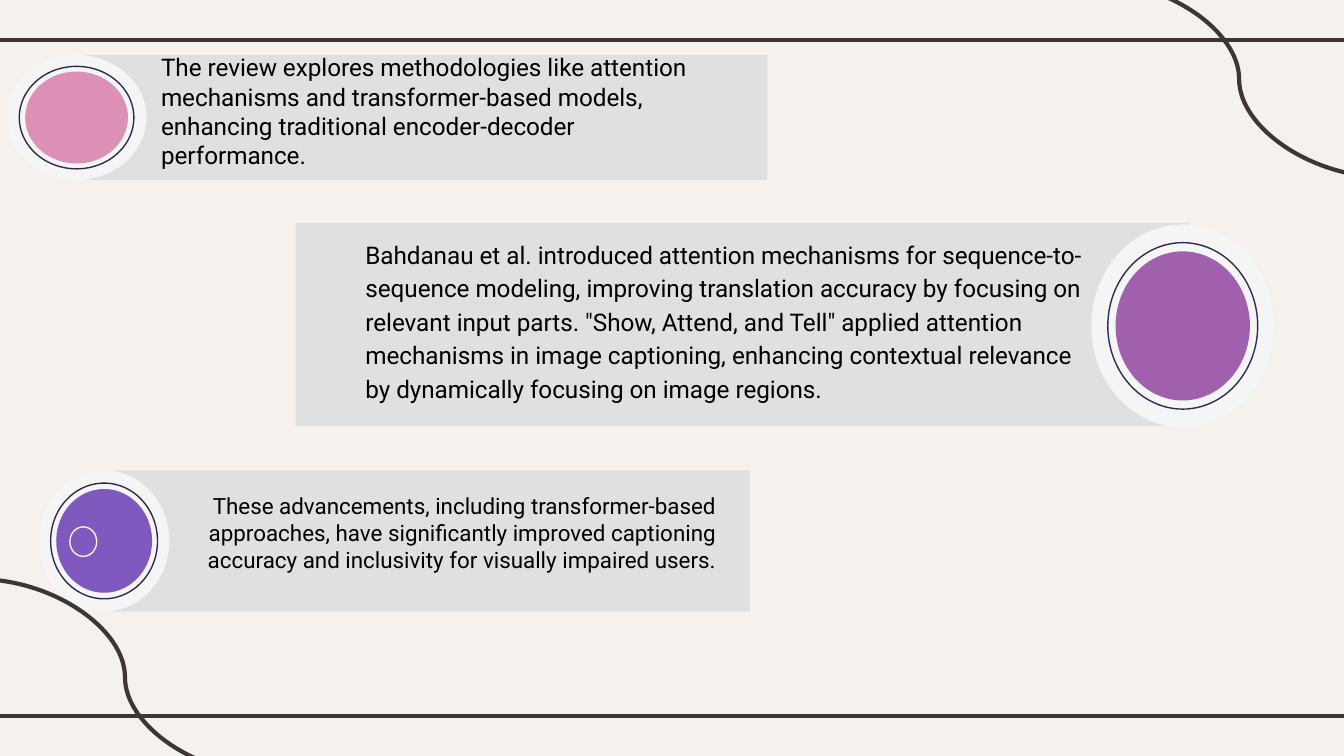
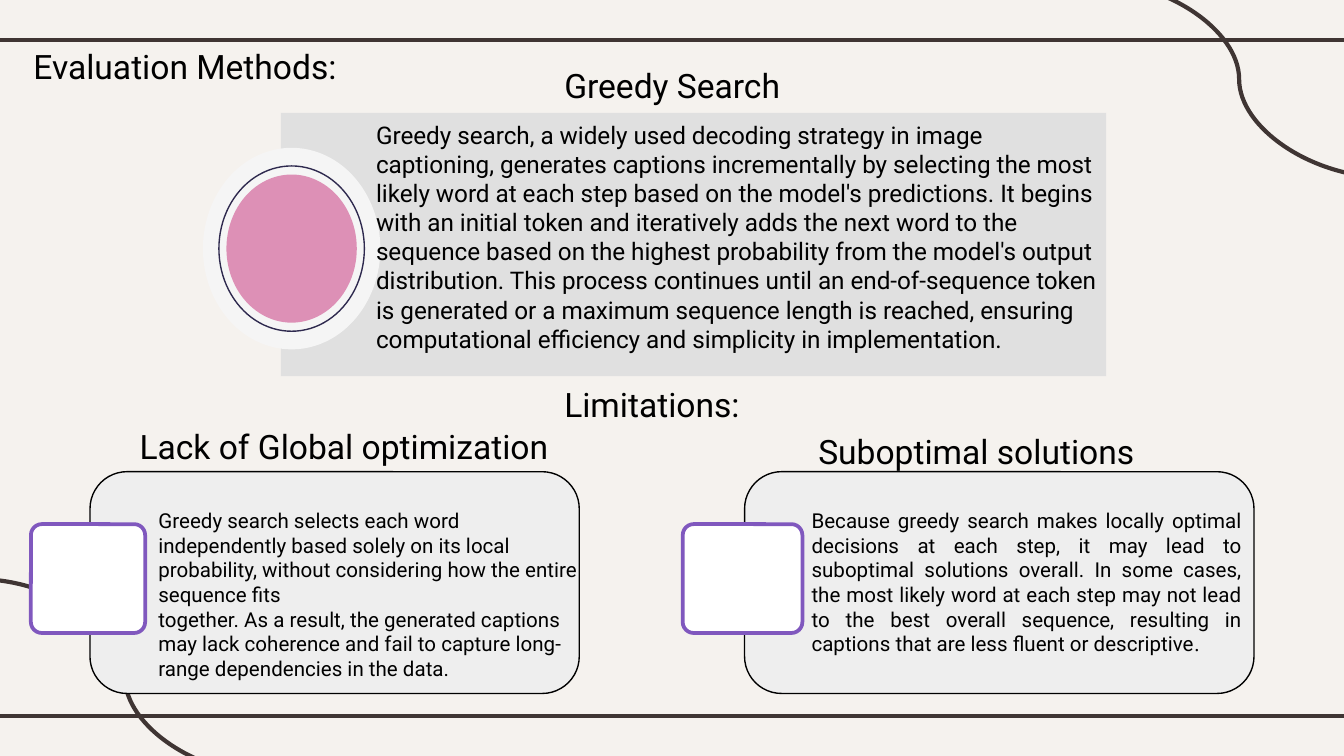
from dataclasses import dataclass
from pptx import Presentation
from pptx import util as u
from pptx.dml.color import RGBColor
from pptx.enum import shapes, text
from pptx.oxml.ns import qn

I = u.Inches
LEFT, RIGHT, JUSTIFY = text.PP_ALIGN.LEFT, text.PP_ALIGN.RIGHT, text.PP_ALIGN.JUSTIFY


@dataclass(frozen=True)
class Theme:
    paper: str = "F5F2EE"
    line: str = "3F3533"
    band: str = "E0E0E0"
    halo: str = "F5F5F5"
    ring: str = "2E294E"
    card: str = "EEEEEE"
    white: str = "FFFFFF"
    ink: str = "000000"
    pink: str = "DD90B6"
    plum: str = "A060AD"
    violet: str = "8058BE"
    font: str = "Roboto"
    serif: str = "Times New Roman"
    heading: int = 18
    body: int = 13
    note: int = 12
    small: int = 11
    thick: float = 2.25
    frame: float = 2
    thin: float = 0.75


T = Theme()

RULES = [0.3, 5.33]
CURVES = [(8.13, -0.14), (-0.16, 4.31)]
CURVE_SIZE = (2.18, 1.46)
RING_SCALE, CORE_SCALE = 0.82, 0.735

FINDINGS = [
    dict(band=(0.63, 0.41, 5.08, 0.93), disc=(0.05, 0.41, 1.04, 0.93), color=T.pink,
         box=(1.1, 0.4, 4.38, 0.85), size=T.body,
         paras=["The review explores methodologies like attention mechanisms and "
                "transformer-based models, enhancing traditional encoder-decoder performance."]),
    dict(band=(2.2, 1.66, 6.65, 1.51), disc=(8.12, 1.67, 1.36, 1.51), color=T.plum,
         box=(2.62, 1.81, 5.62, 1.13), size=T.body, spacing=1.15,
         paras=["Bahdanau et al. introduced attention mechanisms for sequence-to-sequence "
                "modeling, improving translation accuracy by focusing on relevant input parts. "
                "\"Show, Attend, and Tell\" applied attention mechanisms in image captioning, "
                "enhancing contextual relevance by dynamically focusing on image regions."]),
    dict(band=(0.84, 3.5, 4.74, 1.05), disc=(0.29, 3.5, 0.97, 1.05), color=T.violet,
         box=(1.36, 3.59, 4.07, 0.74), size=T.note, align=RIGHT,
         paras=["These advancements, including transformer-based approaches, have significantly "
                "improved captioning accuracy and inclusivity for visually impaired users."]),
]
BADGE_DOT = (0.52, 3.92, 0.2, 0.22)

GREEDY = dict(
    band=(2.09, 0.84, 6.14, 1.96), disc=(1.51, 1.1, 1.32, 1.5), color=T.pink,
    box=(2.7, 0.91, 5.56, 1.7), size=T.body,
    paras=["Greedy search, a widely used decoding strategy in image captioning, generates "
           "captions incrementally by selecting the most likely word at each step based on the "
           "model's predictions. It begins with an initial token and iteratively adds the next "
           "word to the sequence based on the highest probability from the model's output "
           "distribution. This process continues until an end-of-sequence token is generated or "
           "a maximum sequence length is reached, ensuring computational efficiency and "
           "simplicity in implementation."])

HEADINGS = [
    ("Evaluation Methods:", 0.15, 0.24),
    ("Greedy Search", 4.1, 0.38),
    ("Limitations:", 4.1, 2.76),
    ("Lack of Global optimization", 0.94, 3.07),
    ("Suboptimal solutions", 5.99, 3.11),
]
HEADING_SIZE = (3.28, 0.5)

LIMITATIONS = [
    dict(card=(0.67, 3.51, 3.64, 1.65), frame=(0.23, 3.9, 0.85, 0.81),
         box=(1.08, 3.73, 3.4, 1.21), align=LEFT, end="",
         paras=["Greedy search selects each word independently based solely on its local "
                "probability, without considering how the entire sequence fits",
                "together. As a result, the generated captions may lack coherence and fail to "
                "capture long-range dependencies in the data."]),
    dict(card=(5.54, 3.51, 3.79, 1.65), frame=(5.08, 3.9, 0.89, 0.81),
         box=(5.94, 3.73, 3.4, 1.73), align=JUSTIFY, end=".",
         paras=["Because greedy search makes locally optimal decisions at each step, it may lead "
                "to suboptimal solutions overall. In some cases, the most likely word at each "
                "step may not lead to the best overall sequence, resulting in captions that are "
                "less fluent or descriptive"]),
]


def rgb(color):
    return RGBColor.from_string(color)


def add_line(s, kind, x1, y1, x2, y2):
    c = s.shapes.add_connector(kind, I(x1), I(y1), I(x2), I(y2))
    c.line.color.rgb = rgb(T.line)
    c.line.width = u.Pt(T.thick)
    pr = c._element.spPr
    pr.append(pr.makeelement(qn("a:effectLst"), {}))


def add_shape(s, kind, box, fill=None, line=None, width=T.thin, corner=None):
    sp = s.shapes.add_shape(kind, *map(I, box))
    sp.shadow.inherit = False
    if corner is not None:
        sp.adjustments[0] = corner
    if fill:
        sp.fill.solid()
        sp.fill.fore_color.rgb = rgb(fill)
    else:
        sp.fill.background()
    if line:
        sp.line.color.rgb = rgb(line)
        sp.line.width = u.Pt(width)
    else:
        sp.line.fill.background()


def add_text(s, box, paras, size, align=LEFT, spacing=None, middle=False, inset=0.1, end=""):
    tf = s.shapes.add_textbox(*map(I, box)).text_frame
    tf.word_wrap = True
    tf.margin_left = tf.margin_right = I(0.1)
    tf.margin_top = tf.margin_bottom = I(inset)
    tf.vertical_anchor = text.MSO_ANCHOR.MIDDLE if middle else text.MSO_ANCHOR.TOP
    for i, content in enumerate(paras):
        p = tf.paragraphs[0] if i == 0 else tf.add_paragraph()
        p.add_run().text = content
        p.alignment = align
        if spacing:
            p.line_spacing = spacing
        p.font.name = T.font
        p.font.size = u.Pt(size)
        p.font.color.rgb = rgb(T.ink)
    if end:
        r = p.add_run()
        r.text = end
        r.font.name = T.serif


def scaled(box, k):
    x, y, w, h = box
    return x + w * (1 - k) / 2, y + h * (1 - k) / 2, w * k, h * k


def add_banner(s, item):
    oval = shapes.MSO_SHAPE.OVAL
    add_shape(s, shapes.MSO_SHAPE.RECTANGLE, item["band"], T.band)
    add_shape(s, oval, item["disc"], T.halo)
    add_shape(s, oval, scaled(item["disc"], RING_SCALE), line=T.ring)
    add_shape(s, oval, scaled(item["disc"], CORE_SCALE), item["color"])
    add_text(s, item["box"], item["paras"], item["size"], item.get("align", LEFT),
             item.get("spacing"), middle=True)


def add_limitation(s, item):
    rounded = shapes.MSO_SHAPE.ROUNDED_RECTANGLE
    add_shape(s, rounded, item["card"], T.card, T.ink, corner=0.167)
    add_shape(s, rounded, item["frame"], T.white, T.violet, T.frame, 0.1)
    add_text(s, item["box"], item["paras"], T.small, item["align"], inset=0.05, end=item["end"])


def new_slide(prs):
    s = prs.slides.add_slide(prs.slide_layouts[6])
    s.background.fill.solid()
    s.background.fill.fore_color.rgb = rgb(T.paper)
    for y in RULES:
        add_line(s, shapes.MSO_CONNECTOR.STRAIGHT, -0.08, y, 10.08, y)
    for x, y in CURVES:
        add_line(s, shapes.MSO_CONNECTOR.CURVE, x, y, x + CURVE_SIZE[0], y + CURVE_SIZE[1])
    return s


def findings_slide(prs):
    s = new_slide(prs)
    for item in FINDINGS:
        add_banner(s, item)
    add_shape(s, shapes.MSO_SHAPE.OVAL, BADGE_DOT, line=T.halo)


def evaluation_slide(prs):
    s = new_slide(prs)
    add_banner(s, GREEDY)
    for item in LIMITATIONS:
        add_limitation(s, item)
    for title, x, y in HEADINGS:
        add_text(s, (x, y, *HEADING_SIZE), [title], T.heading)


def main():
    prs = Presentation()
    prs.slide_width, prs.slide_height = I(10), I(10 * 9 / 16)
    findings_slide(prs)
    evaluation_slide(prs)
    prs.save("out.pptx")


if __name__ == "__main__":
    main()
